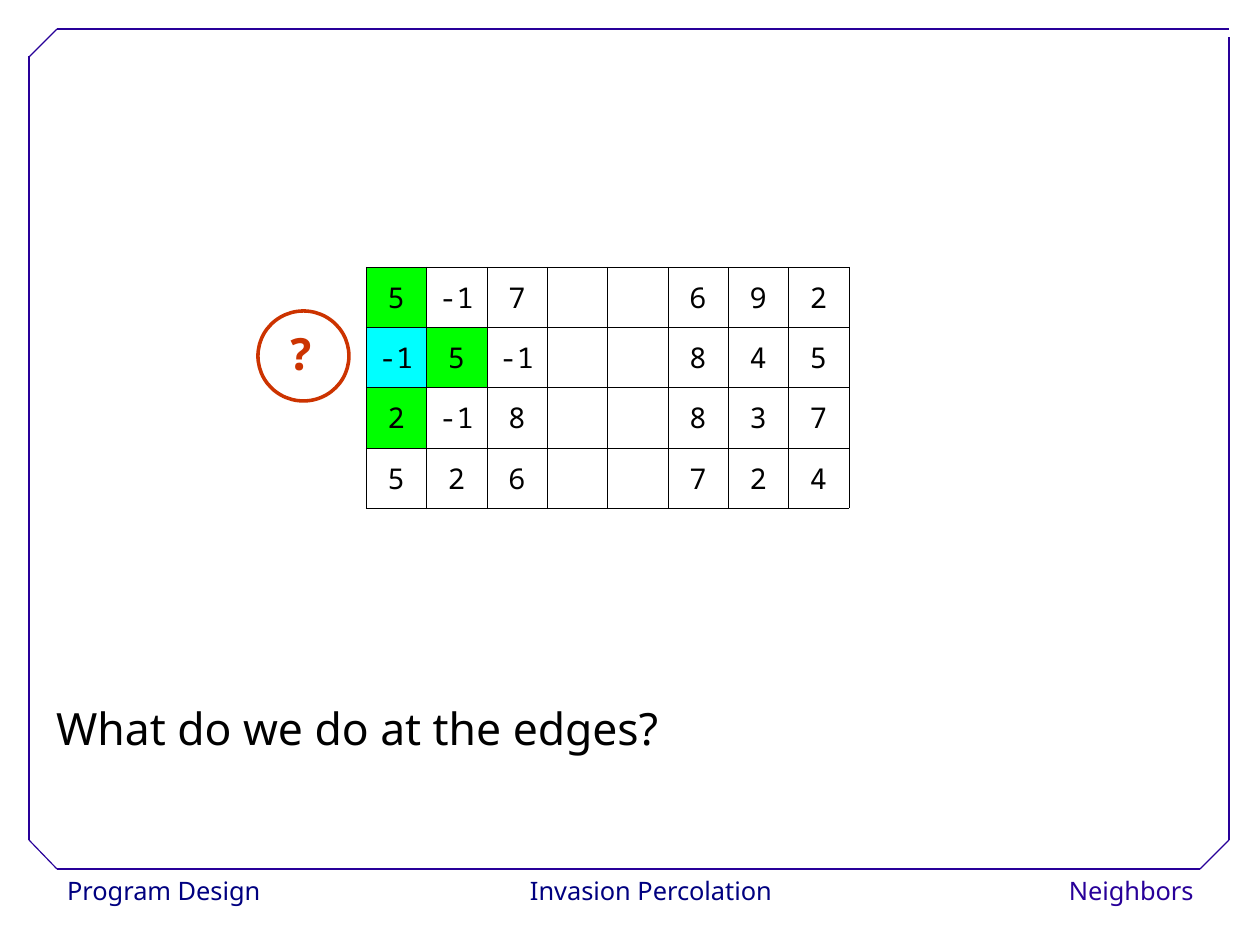
from lxml import etree
from pptx import Presentation
from pptx.dml.color import RGBColor
from pptx.enum.shapes import MSO_CONNECTOR, MSO_SHAPE
from pptx.enum.text import MSO_ANCHOR, PP_ALIGN
from pptx.oxml.ns import qn
from pptx.util import Emu, Pt

LEFT, CENTER, RIGHT = PP_ALIGN.LEFT, PP_ALIGN.CENTER, PP_ALIGN.RIGHT
MIDDLE = MSO_ANCHOR.MIDDLE
STRAIGHT = MSO_CONNECTOR.STRAIGHT
OVAL = MSO_SHAPE.OVAL

WHITE = RGBColor(0xFF, 0xFF, 0xFF)
BLACK = RGBColor(0x00, 0x00, 0x00)
NAVY = RGBColor(0x00, 0x00, 0x80)
INDIGO = RGBColor(0x28, 0x00, 0x99)
GREEN = RGBColor(0x00, 0xFF, 0x00)
CYAN = RGBColor(0x00, 0xFF, 0xFF)
RED = RGBColor(0xCC, 0x33, 0x00)

SANS, MONO = "Noto Sans", "Noto Sans Mono"
EMU_PER_PX = 8000

FRAME = [
    (57, 869, 1200, 869),
    (29, 840, 29, 56),
    (57, 29, 1229, 29),
    (1229, 840, 1229, 37),
    (29, 57, 57, 29),
    (1200, 869, 1229, 840),
    (29, 840, 57, 869),
]
GRID = [
    ["5", "-1", "7", "", "", "6", "9", "2"],
    ["-1", "5", "-1", "", "", "8", "4", "5"],
    ["2", "-1", "8", "", "", "8", "3", "7"],
    ["5", "2", "6", "", "", "7", "2", "4"],
]
HIGHLIGHTS = {(0, 0): GREEN, (1, 0): CYAN, (1, 1): GREEN, (2, 0): GREEN}


def px(*lengths):
    """Turn pixel lengths into EMU."""
    return [Emu(n * EMU_PER_PX) for n in lengths]


def style_paragraph(p, size, color, font=SANS, align=LEFT, spacing=1.02, bold=False):
    """Set the alignment, spacing and font of a paragraph."""
    p.alignment = align
    p.line_spacing = spacing
    p.font.size = Pt(size)
    p.font.name = font
    p.font.bold = bold
    p.font.color.rgb = color


def add_label(s, text, box, size, color, fill=None, **style):
    """Add a one-line text box, filled if a fill is given."""
    sp = s.shapes.add_textbox(*px(*box))
    if fill is not None:
        sp.fill.solid()
        sp.fill.fore_color.rgb = fill
    tf = sp.text_frame
    tf.word_wrap = False
    p = tf.paragraphs[0]
    p.text = text
    style_paragraph(p, size, color, **style)


def add_line(s, ends):
    """Add one line of the slide frame."""
    line = s.shapes.add_connector(STRAIGHT, *px(*ends))
    line.line.color.rgb = INDIGO
    line.line.width = Pt(0.75)
    etree.SubElement(line._element.spPr, qn("a:effectLst"))


def add_ring(s, box):
    """Add an unfilled circle."""
    sp = s.shapes.add_shape(OVAL, *px(*box))
    sp.shadow.inherit = False
    sp.fill.background()
    sp.line.color.rgb = RED
    sp.line.width = Pt(2.25)


def set_borders(cell):
    """Draw a black hairline on all four sides of a cell."""
    tc_pr = cell._tc.get_or_add_tcPr()
    for side in ("a:lnL", "a:lnR", "a:lnT", "a:lnB"):
        ln = etree.SubElement(tc_pr, qn(side), w=str(Pt(0.06)))
        fill = etree.SubElement(ln, qn("a:solidFill"))
        etree.SubElement(fill, qn("a:srgbClr"), val=str(BLACK))


def add_grid(s, box):
    """Add the table of cell values with its highlighted neighbors."""
    table = s.shapes.add_table(len(GRID), len(GRID[0]), *px(*box)).table
    table.first_row = False
    table.horz_banding = False
    for row, values in enumerate(GRID):
        for col, value in enumerate(values):
            cell = table.cell(row, col)
            cell.vertical_anchor = MIDDLE
            set_borders(cell)
            if (row, col) in HIGHLIGHTS:
                cell.fill.solid()
                cell.fill.fore_color.rgb = HIGHLIGHTS[row, col]
            else:
                cell.fill.background()
            p = cell.text_frame.paragraphs[0]
            p.text = value
            style_paragraph(p, 18, BLACK, MONO, CENTER)


def main():
    """Build and save the slide."""
    prs = Presentation()
    prs.slide_width, prs.slide_height = px(1260, 945)
    s = prs.slides.add_slide(prs.slide_layouts[6])
    add_label(s, "Program Design", (56, 869, 226, 45), 16, NAVY, WHITE)
    add_label(s, "Invasion Percolation", (513, 869, 276, 45), 16, NAVY, WHITE, align=CENTER)
    add_label(s, "Neighbors", (1045, 869, 160, 45), 16, INDIGO, WHITE, align=RIGHT)
    for ends in FRAME:
        add_line(s, ends)
    add_label(s, "What do we do at the edges?", (45, 669, 738, 91), 28, BLACK, spacing=1.5)
    add_grid(s, (366, 267, 483, 241))
    add_label(s, "?", (276, 319, 49, 73), 28, RED, font=MONO, bold=True)
    add_ring(s, (258, 311, 91, 90))
    prs.save("out.pptx")


if __name__ == "__main__":
    main()
